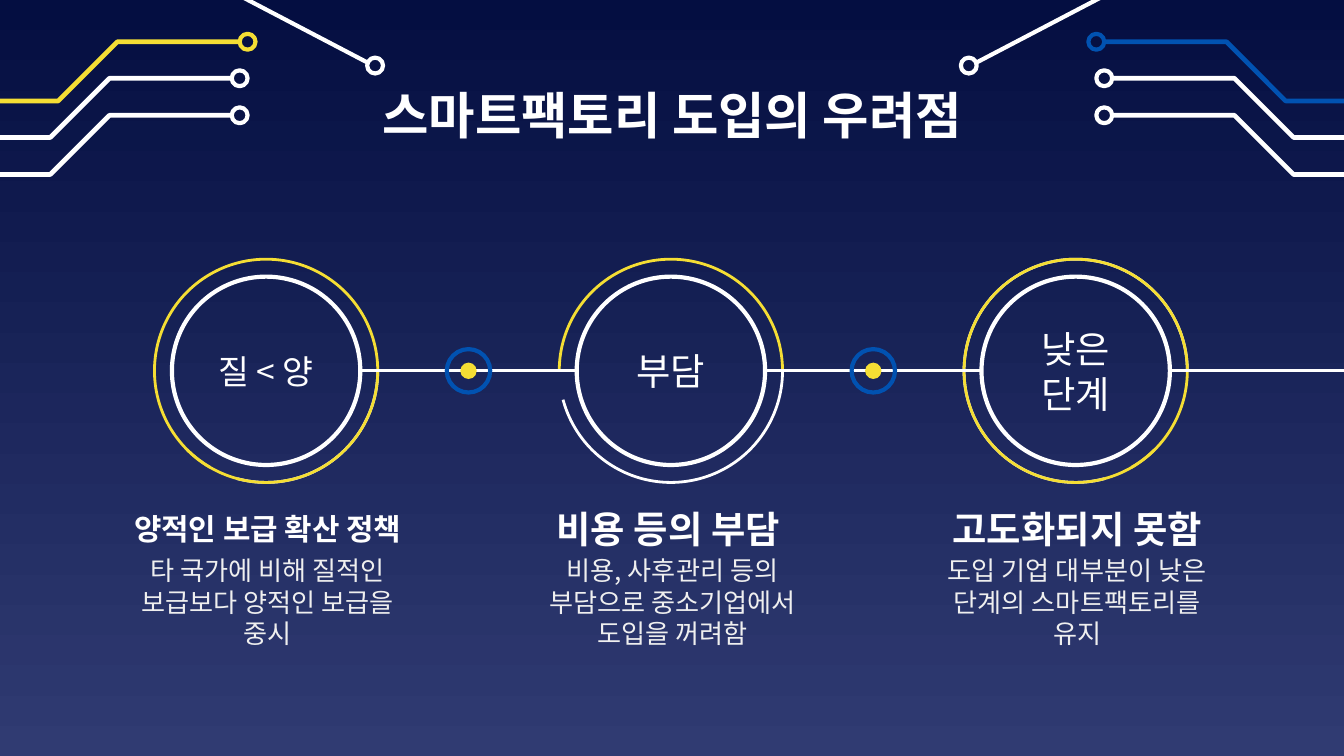
from lxml import etree
from pptx import Presentation
from pptx.dml.color import RGBColor
from pptx.enum.shapes import MSO_CONNECTOR, MSO_SHAPE
from pptx.enum.text import MSO_ANCHOR, PP_ALIGN
from pptx.oxml.ns import qn
from pptx.util import Cm, Pt

OVAL = MSO_SHAPE.OVAL
ARC = MSO_SHAPE.ARC
LINE = MSO_CONNECTOR.STRAIGHT
MIDDLE = MSO_ANCHOR.MIDDLE
CENTER = PP_ALIGN.CENTER
FONT = "Noto Sans CJK KR"
WHITE, YELLOW, BLUE, PALE = "FFFFFF", "F5DE34", "0152B1", "EFEFEF"
WIDE, HIGH = 25.4, 14.29
MID, FIRST, STEP = 7.01, 5.03, 7.65
RING, ORBIT = 3.56, 4.22

STAGES = [
    ("질 < 양", 18, "양적인 보급 확산 정책", 16,
     "타 국가에 비해 질적인 보급보다 양적인 보급을 중시",
     [(248, 105, WHITE), (120, 135, YELLOW), (225, 240, YELLOW)]),
    ("부담", 20, "비용 등의 부담 ", 20,
     "비용, 사후관리 등의 부담으로 중소기업에서 도입을 꺼려함",
     [(308, 165, WHITE), (180, 195, YELLOW)]),
    ("낮은 단계", 20, "고도화되지 못함", 20,
     "도입 기업 대부분이 낮은 단계의 스마트팩토리를 유지",
     [(75, 292, WHITE), (45, 60, YELLOW), (300, 315, YELLOW)]),
]


def color(code):
    return RGBColor.from_string(code)


def stroke(shape, hue, width):
    shape.line.color.rgb = color(hue)
    shape.line.width = Pt(width)


def write(shape, text, size, hue=WHITE, bold=False):
    frame = shape.text_frame
    frame.word_wrap = True
    frame.vertical_anchor = MIDDLE
    frame.margin_left = frame.margin_right = Cm(0.25)
    frame.margin_top = frame.margin_bottom = Cm(0.25)
    frame.text = text
    para = frame.paragraphs[0]
    para.alignment = CENTER
    font = para.runs[0].font
    font.name, font.size, font.bold = FONT, Pt(size), bold
    font.color.rgb = color(hue)
    east = etree.SubElement(font._element, qn("a:ea"))
    east.set("typeface", FONT)


def label(slide, x, y, wide, high, text, size, hue=WHITE, bold=False):
    box = slide.shapes.add_textbox(Cm(x - wide / 2), Cm(y), Cm(wide), Cm(high))
    write(box, text, size, hue, bold)


def round_shape(slide, kind, x, y, size):
    shape = slide.shapes.add_shape(
        kind, Cm(x - size / 2), Cm(y - size / 2), Cm(size), Cm(size))
    shape.shadow.inherit = False
    shape.fill.background()
    return shape


def ring(slide, x, y, size, hue, width=2.25):
    shape = round_shape(slide, OVAL, x, y, size)
    stroke(shape, hue, width)
    return shape


def disc(slide, x, y, size, hue):
    shape = round_shape(slide, OVAL, x, y, size)
    shape.fill.solid()
    shape.fill.fore_color.rgb = color(hue)
    shape.line.fill.background()


def arc(slide, x, y, start, end, hue):
    shape = round_shape(slide, ARC, x, y, ORBIT)
    for i, angle in enumerate((start, end)):
        turn = angle - 360 if angle > 180 else angle
        shape.adjustments[i] = turn * 0.6
    stroke(shape, hue, 1.5)


def link(slide, x1, y1, x2, y2, width=1.5):
    line = slide.shapes.add_connector(LINE, Cm(x1), Cm(y1), Cm(x2), Cm(y2))
    stroke(line, WHITE, width)
    etree.SubElement(line._element.spPr, qn("a:effectLst"))


def wire(slide, points, hue):
    dots = [(Cm(x), Cm(y)) for x, y in points]
    path = slide.shapes.build_freeform(*dots[0], scale=1.0)
    path.add_line_segments(dots[1:], close=False)
    shape = path.convert_to_shape()
    shape.shadow.inherit = False
    shape.fill.background()
    stroke(shape, hue, 2.5)


def circuit(slide, flip, accent):
    def side(x):
        return WIDE - x if flip else x

    for dx, y, hue in ((0.15, 0.79, accent), (0, 1.48, WHITE), (0, 2.18, WHITE)):
        bends = ((-0.9, 1.12), (0.95, 1.12), (2.07, 0), (4.38, 0))
        wire(slide, [(side(x + dx), y + dy) for x, dy in bends], hue)
        ring(slide, side(4.53 + dx), y, 0.3, hue)
    link(slide, side(2.64), -1.07, side(6.96), 1.19, 2.25)
    ring(slide, side(7.09), 1.24, 0.3, WHITE)


def stage(slide, x, name, size, head, big, body, arcs):
    write(ring(slide, x, MID, RING, WHITE), name, size)
    for start, end, hue in arcs:
        arc(slide, x, MID, start, end, hue)
    label(slide, x + 0.03, 9.4, 5.79, 1.19, head, big, bold=True)
    label(slide, x + 0.03, 10.64, 5.79, 1.47, body, 14, PALE)


def joint(slide, x):
    link(slide, x + RING / 2, MID, x + STEP - RING / 2, MID)
    spot = x + STEP / 2
    ring(slide, spot, MID, 0.82, BLUE)
    disc(slide, spot, MID, 0.31, YELLOW)


def backdrop(slide):
    fill = slide.background.fill
    fill.gradient()
    fill.gradient_angle = 270
    for stop, hue in zip(fill.gradient_stops, ("040E41", "303B72")):
        stop.color.rgb = color(hue)


def main():
    deck = Presentation()
    deck.slide_width, deck.slide_height = Cm(WIDE), Cm(HIGH)
    slide = deck.slides.add_slide(deck.slide_layouts[6])
    backdrop(slide)
    circuit(slide, False, YELLOW)
    circuit(slide, True, BLUE)
    label(slide, WIDE / 2, 1.5, 13.94, 1.32, "스마트팩토리 도입의 우려점", 27, bold=True)
    for i, data in enumerate(STAGES):
        stage(slide, FIRST + i * STEP, *data)
    for i in range(2):
        joint(slide, FIRST + i * STEP)
    link(slide, FIRST + 2 * STEP + RING / 2, MID, 26.8, MID)
    deck.save("out.pptx")


if __name__ == "__main__":
    main()
